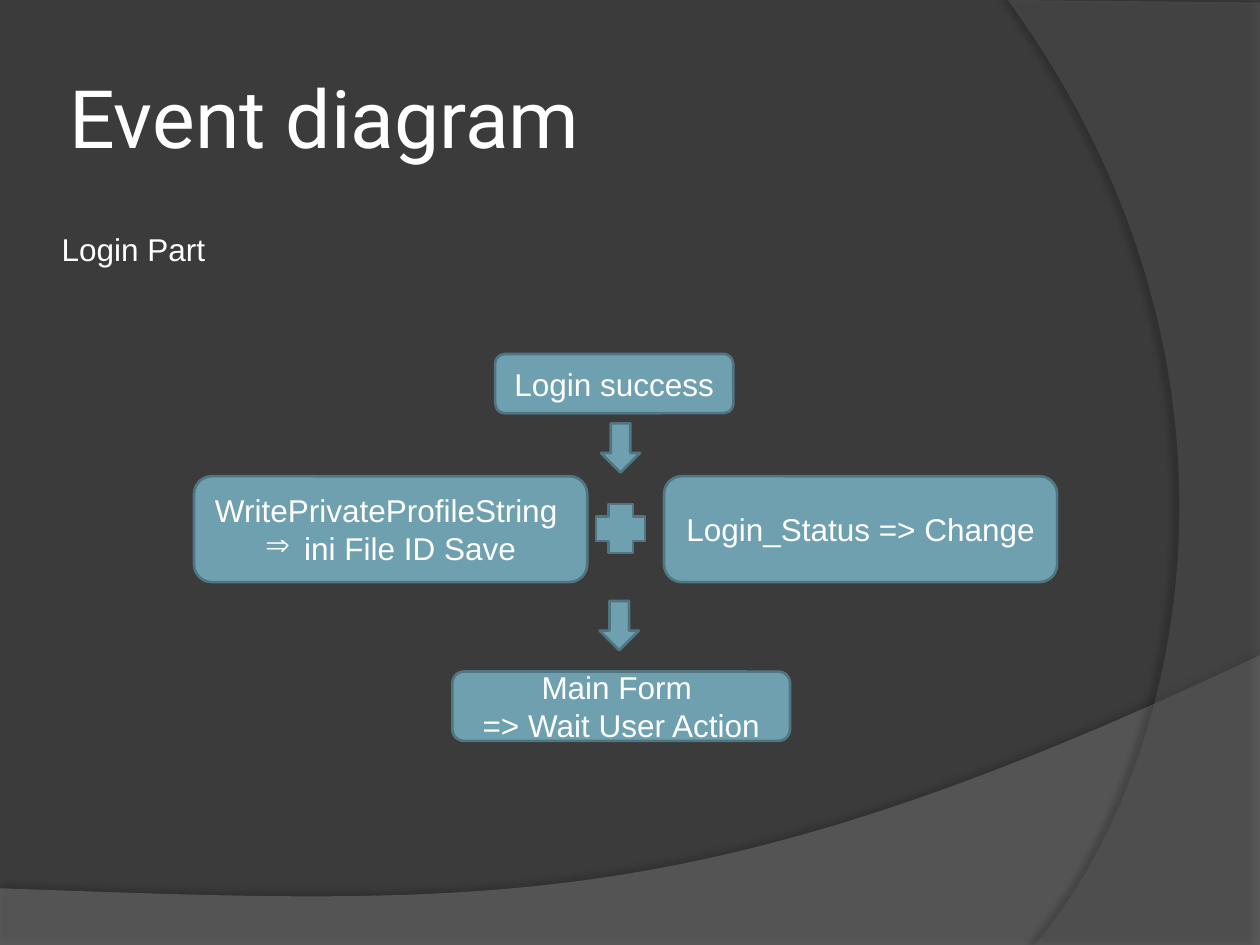
from lxml import etree
from pptx import Presentation
from pptx.dml.color import RGBColor
from pptx.enum.shapes import MSO_SHAPE as Shape
from pptx.enum.text import MSO_ANCHOR as Anchor, PP_ALIGN as Align
from pptx.oxml.ns import qn
from pptx.util import Inches, Pt

BACKGROUND = RGBColor(0x3B, 0x3B, 0x3B)
LOWER_WAVE = RGBColor(0x7F, 0x7F, 0x7F)
RIGHT_WAVE = RGBColor(0x5E, 0x5E, 0x5E)
TEAL = RGBColor(0x6E, 0xA0, 0xB0)
TEAL_EDGE = RGBColor(0x51, 0x76, 0x82)
WHITE = RGBColor(0xFF, 0xFF, 0xFF)

BODY_FONT = {"name": "Arial", "size": Pt(18)}
TITLE_FONT = {"name": "Roboto", "size": Pt(46)}
BULLET = "⇒"

# Text lines, then left, top, width, height
BOXES = [
    (["Login success"], 3.93, 2.81, 1.89, 0.47),
    (["WritePrivateProfileString ", BULLET + "ini File ID Save"], 1.54, 3.78, 3.12, 0.84),
    (["Login_Status => Change"], 5.27, 3.78, 3.12, 0.84),
    (["Main Form ", "=> Wait User Action"], 3.59, 5.33, 2.68, 0.55),
]
SYMBOLS = [
    (Shape.DOWN_ARROW, 4.77, 3.36, 0.31, 0.39),
    (Shape.DOWN_ARROW, 4.76, 4.77, 0.31, 0.39),
    (Shape.CROSS, 4.73, 4, 0.39, 0.39),
]


def set_format(target, values):
    for name, value in values.items():
        setattr(target, name, value)


def add_xml(parent, tag, **attributes):
    return etree.SubElement(parent, qn(tag), attributes)


def curve_points(start, control_1, control_2, end, steps=60):
    """Points along a cubic Bezier curve, without its start."""
    points = []
    for step in range(1, steps + 1):
        t = step / steps
        weights = ((1 - t) ** 3, 3 * t * (1 - t) ** 2, 3 * t * t * (1 - t), t ** 3)
        points.append(tuple(
            sum(weight * value for weight, value in zip(weights, axis))
            for axis in zip(start, control_1, control_2, end)))
    return points


def add_wave(slide, corners, curve, color, opacity, shadow):
    """Translucent area: straight corners, then a curve from the last corner."""
    outline = [(Inches(x), Inches(y)) for x, y in corners + curve_points(corners[-1], *curve)]
    builder = slide.shapes.build_freeform(*outline[0])
    builder.add_line_segments(outline[1:], close=True)
    wave = builder.convert_to_shape()
    wave.fill.solid()
    wave.fill.fore_color.rgb = color
    wave.line.fill.background()
    properties = wave.fill._xPr
    fill_color = properties.find(qn("a:solidFill"))[0]
    add_xml(fill_color, "a:alpha", val=str(opacity * 1000))

    shadow_opacity, blur, distance, direction = shadow
    effects = add_xml(properties, "a:effectLst")
    outer = add_xml(effects, "a:outerShdw", blurRad=str(Pt(blur)), dist=str(Pt(distance)),
                    dir=str(direction * 60000), algn="ctr", rotWithShape="0")
    shadow_color = add_xml(outer, "a:srgbClr", val="000000")
    add_xml(shadow_color, "a:alpha", val=str(shadow_opacity * 1000))


def write_line(paragraph, text, font, alignment):
    paragraph.alignment = alignment
    if text.startswith(BULLET):
        text = text[len(BULLET):]
        indent = Inches(0.31)
        properties = paragraph._p.get_or_add_pPr()
        properties.set("marL", str(indent))
        properties.set("indent", str(-indent))
        add_xml(properties, "a:buChar", char=BULLET)
    run = paragraph.add_run()
    run.text = text
    set_format(run.font, font)
    run.font.color.rgb = WHITE


def add_label(slide, text, position, font, frame_format):
    label = slide.shapes.add_textbox(*map(Inches, position))
    set_format(label.text_frame, frame_format)
    write_line(label.text_frame.paragraphs[0], text, font, Align.LEFT)


def add_symbol(slide, kind, *position):
    symbol = slide.shapes.add_shape(kind, *map(Inches, position))
    symbol.shadow.inherit = False
    symbol.fill.solid()
    symbol.fill.fore_color.rgb = TEAL
    symbol.line.color.rgb = TEAL_EDGE
    symbol.line.width = Pt(1.5)
    return symbol


def add_box(slide, lines, *position):
    frame = add_symbol(slide, Shape.ROUNDED_RECTANGLE, *position).text_frame
    set_format(frame, {"word_wrap": True, "vertical_anchor": Anchor.MIDDLE})
    for index, line in enumerate(lines):
        paragraph = frame.add_paragraph() if index else frame.paragraphs[0]
        write_line(paragraph, line, BODY_FONT, Align.CENTER)


def main():
    presentation = Presentation()
    set_format(presentation, {"slide_width": Inches(10), "slide_height": Inches(7.5)})
    slide = presentation.slides.add_slide(presentation.slide_layouts[6])
    slide.background.fill.solid()
    slide.background.fill.fore_color.rgb = BACKGROUND

    add_wave(slide, [(0, 7.05), (0, 7.51), (10, 7.51), (10, 5.2)],
             [(5.59, 7.29), (3.91, 7.19), (0, 7.05)], LOWER_WAVE, 45, (35, 4, 3.5, 270))
    add_wave(slide, [(10, 0.02), (10, 7.5), (8.21, 7.5)],
             [(9.35, 6.19), (10.18, 3), (8, 0)], RIGHT_WAVE, 40, (45, 4, 4, 180))

    margins = {f"margin_{side}": Inches(0.05) for side in ("left", "top", "right", "bottom")}
    add_label(slide, "Event diagram", (0.5, 0.3, 8.17, 1.25), TITLE_FONT,
              {"word_wrap": True, "vertical_anchor": Anchor.MIDDLE, **margins})
    add_label(slide, "Login Part", (0.39, 1.78, 1.37, 0.4), BODY_FONT, {"word_wrap": False})

    for box in BOXES:
        add_box(slide, *box)
    for symbol in SYMBOLS:
        add_symbol(slide, *symbol)
    presentation.save("out.pptx")


if __name__ == "__main__":
    main()
